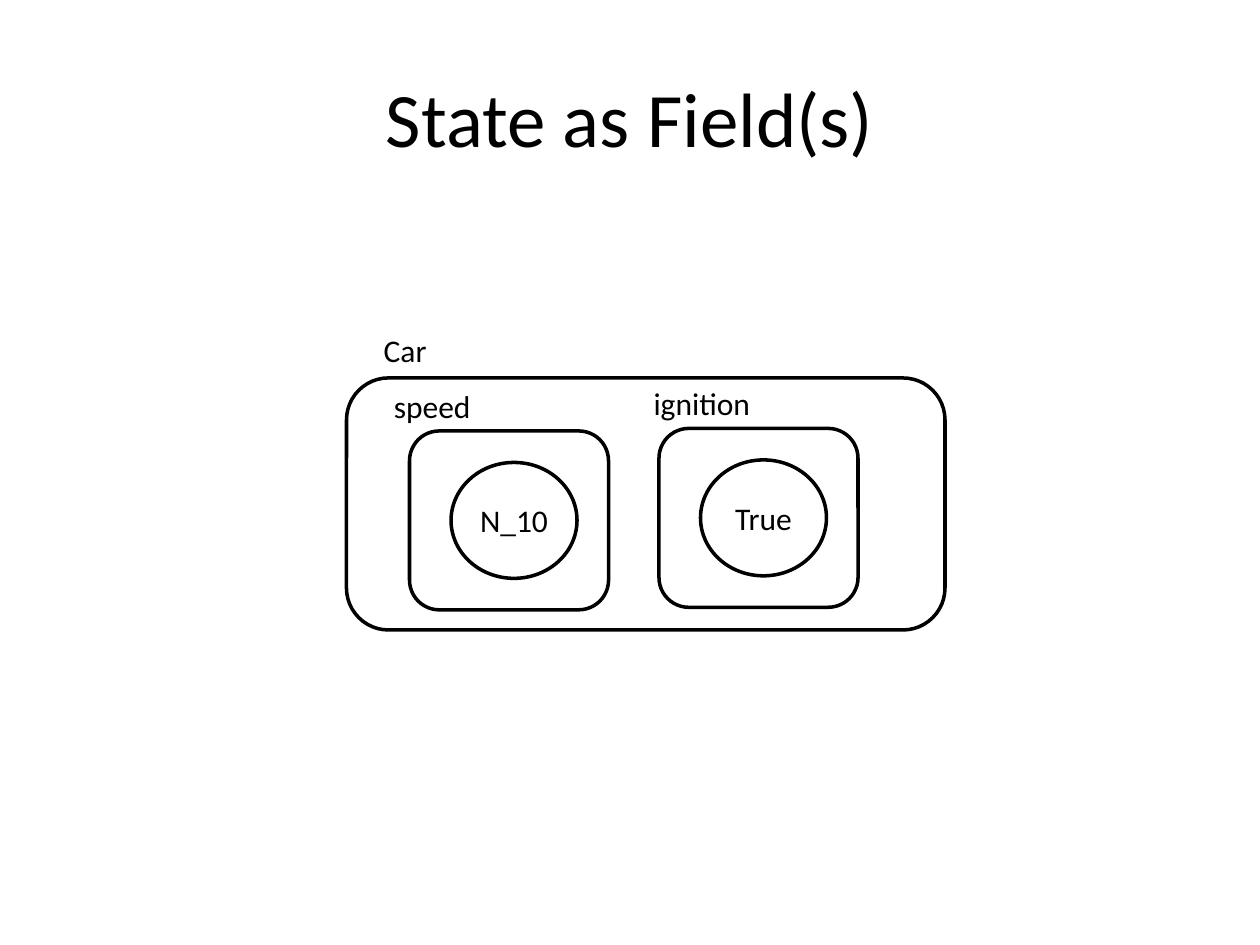
"""Build the slide that shows a car object with its state held in fields."""
from pptx import Presentation
from pptx.dml.color import RGBColor
from pptx.enum.shapes import MSO_SHAPE as Shape
from pptx.enum.text import MSO_ANCHOR as Anchor, MSO_AUTO_SIZE as AutoSize, PP_ALIGN as Align
from pptx.util import Inches, Pt

BLACK = RGBColor(0x00, 0x00, 0x00)
WHITE = RGBColor(0xFF, 0xFF, 0xFF)


def write(frame, text, size=18, font="Calibri", color=BLACK, anchor=Anchor.TOP, wrap=True):
    frame.word_wrap = wrap
    frame.vertical_anchor = anchor
    paragraph = frame.paragraphs[0]
    paragraph.alignment = Align.CENTER
    run = paragraph.add_run()
    run.text = text
    run.font.size = Pt(size)
    run.font.name = font
    run.font.color.rgb = color


class ObjectDiagram:
    def __init__(self, slide, fill=WHITE, line=BLACK, weight=2):
        self.slide = slide
        self.fill = fill
        self.line = line
        self.weight = weight

    def title(self, text):
        heading = self.slide.shapes.add_textbox(Inches(0.5), Inches(0.3), Inches(9), Inches(1.25))
        write(heading.text_frame, text, size=44, anchor=Anchor.MIDDLE)

    def label(self, text, left, top, width):
        name = self.slide.shapes.add_textbox(Inches(left), Inches(top), Inches(width), Inches(0.4))
        write(name.text_frame, text, wrap=False)
        name.text_frame.auto_size = AutoSize.SHAPE_TO_FIT_TEXT

    def outline(self, kind, left, top, width, height):
        figure = self.slide.shapes.add_shape(
            kind, Inches(left), Inches(top), Inches(width), Inches(height))
        figure.shadow.inherit = False
        figure.fill.solid()
        figure.fill.fore_color.rgb = self.fill
        figure.line.color.rgb = self.line
        figure.line.width = Pt(self.weight)
        return figure

    def value(self, text, left, top):
        circle = self.outline(Shape.OVAL, left, top, 1, 0.92)
        frame = circle.text_frame
        frame.margin_left = frame.margin_right = Inches(0.04)
        write(frame, text, anchor=Anchor.MIDDLE)

    def field(self, name, value, left, top, name_left, name_width):
        self.outline(Shape.ROUNDED_RECTANGLE, left, top, 1.58, 1.42)
        self.label(name, name_left, top - 0.4, name_width)
        self.value(value, left + 0.33, top + 0.25)


def main():
    deck = Presentation()
    deck.slide_width, deck.slide_height = Inches(10), Inches(7.5)
    diagram = ObjectDiagram(deck.slides.add_slide(deck.slide_layouts[6]))
    diagram.title("State as Field(s)")
    diagram.outline(Shape.ROUNDED_RECTANGLE, 2.75, 3, 4.75, 2)
    diagram.label("Car", 2.94, 2.58, 0.55)
    diagram.field("speed", "N_10", 3.25, 3.42, name_left=3.02, name_width=0.82)
    diagram.field("ignition", "True", 5.23, 3.4, name_left=5.08, name_width=0.98)
    deck.save("out.pptx")


if __name__ == "__main__":
    main()
